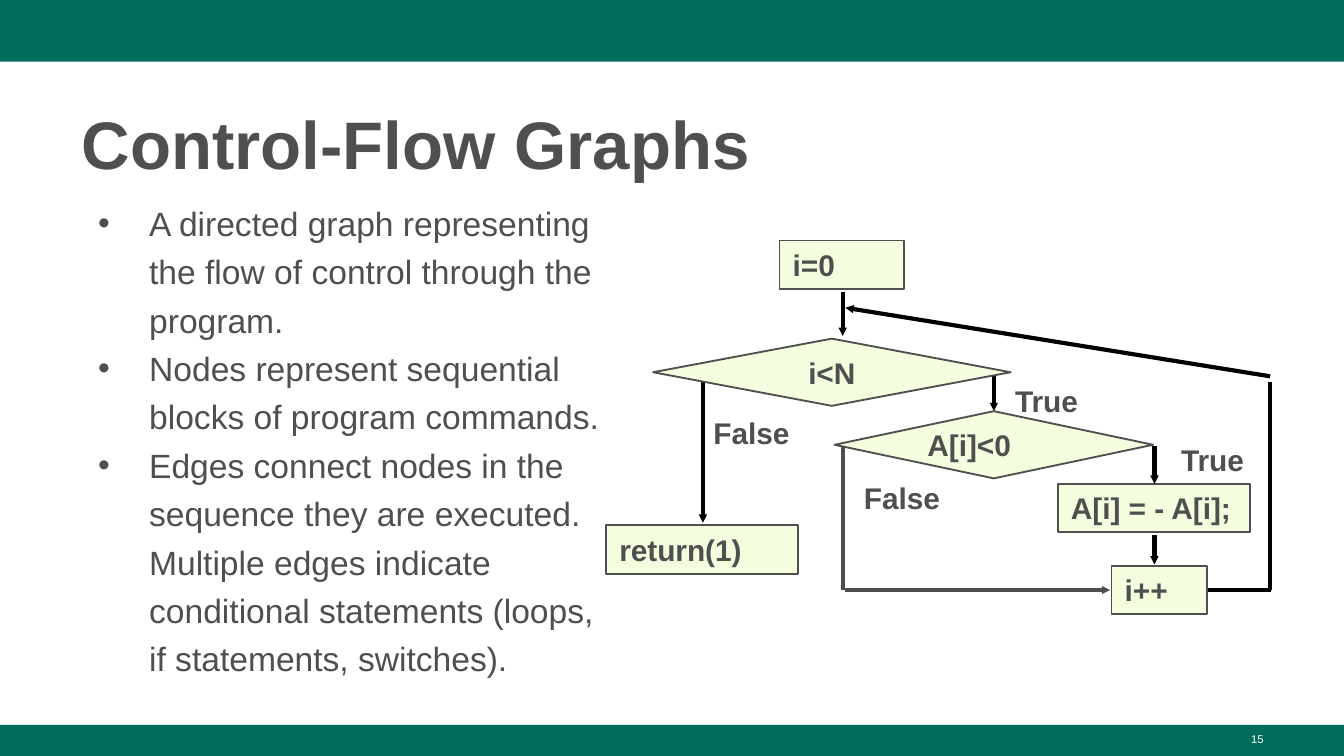
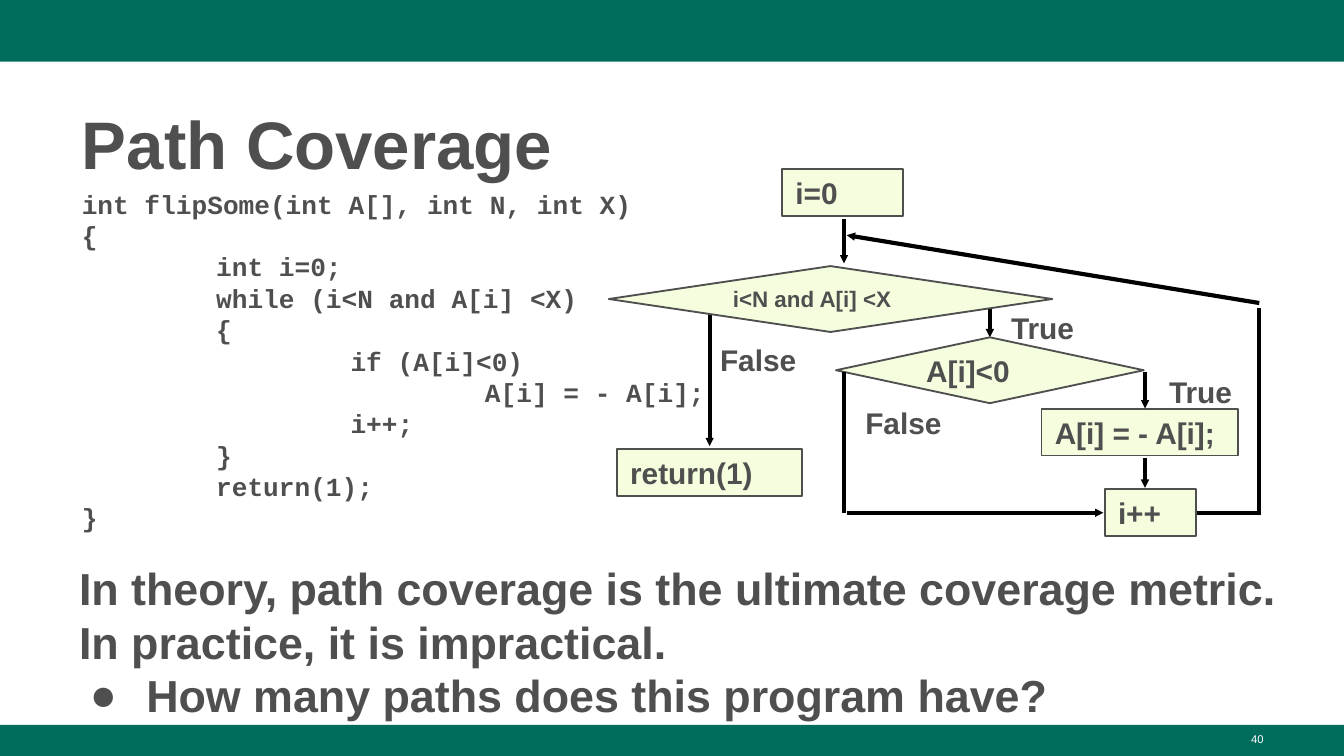
from lxml import etree
from pptx import Presentation
from pptx.dml.color import RGBColor
from pptx.enum.shapes import MSO_CONNECTOR as Connector, MSO_SHAPE as Shape
from pptx.enum.text import MSO_ANCHOR as Anchor, MSO_AUTO_SIZE as AutoSize, PP_ALIGN as Align
from pptx.oxml.ns import qn
from pptx.util import Inches, Pt

GREEN, GREY, PALE, BLACK, WHITE = "006C5C", "4F4F4F", "F4FEDE", "000000", "FFFFFF"
SANS, MONO = "Arial", "Courier New"
WIDTH = 10
HEIGHT = WIDTH * 9 / 16
TITLE_AREA = (0.51, 0.67, 8.99, 0.73)
GAP = 0.02

CODE = """int flipSome(int A[], int N, int X)
{
\tint i=0;
\twhile (i<N and A[i] <X)
\t{
\t\tif (A[i]<0)
\t\t\tA[i] = - A[i];
\t\ti++;
\t}
\treturn(1);
}"""


def color(value):
    """Turn a hex string into a colour."""
    return RGBColor.from_string(value)


def inches(*values):
    """Convert several numbers to lengths."""
    return [Inches(value) for value in values]


def add_bullet(para, char, left, hanging):
    """Give a paragraph a grey bullet and a hanging indent."""
    props = para._p.get_or_add_pPr()
    props.set("marL", str(Inches(left)))
    props.set("indent", str(-Inches(hanging)))
    tint = etree.SubElement(props, qn("a:buClr"))
    etree.SubElement(tint, qn("a:srgbClr"), val=GREY)
    etree.SubElement(props, qn("a:buFont"), typeface=SANS)
    etree.SubElement(props, qn("a:buChar"), char=char)


def add_tabs(para, count):
    """Give a paragraph tab stops one inch apart."""
    stops = etree.SubElement(para._p.get_or_add_pPr(), qn("a:tabLst"))
    for position in range(1, count + 1):
        etree.SubElement(stops, qn("a:tab"), pos=str(Inches(position)), algn="l")


def write(frame, text, size=16, bold=True, tint=GREY, font=SANS,
          align=Align.LEFT, spacing=1.0, bullet=None):
    """Append one formatted paragraph to a text frame."""
    para = frame.add_paragraph() if frame.text else frame.paragraphs[0]
    if bullet:
        add_bullet(para, *bullet)
    if "\t" in text:
        add_tabs(para, text.count("\t"))
    para.alignment = align
    para.line_spacing = spacing
    para.space_before = Pt(0)
    span = para.add_run()
    span.text = text
    span.font.name, span.font.size, span.font.bold = font, Pt(size), bold
    span.font.color.rgb = color(tint)


def set_frame(box, anchor=Anchor.TOP, pad=0.05):
    """Set wrapping, insets and anchoring, and return the text frame."""
    frame = box.text_frame
    frame.word_wrap = True
    frame.auto_size = AutoSize.NONE
    frame.vertical_anchor = anchor
    frame.margin_left = frame.margin_right = Inches(0.1)
    frame.margin_top = frame.margin_bottom = Inches(pad)
    return frame


def add_text(page, area, lines, pad=0.05, **style):
    """Add a text box with one paragraph per line."""
    frame = set_frame(page.shapes.add_textbox(*inches(*area)), pad=pad)
    for line in lines:
        write(frame, line, **style)
    return frame


def fill_placeholder(holder, area, lines, anchor=Anchor.TOP, **style):
    """Move a placeholder and write its paragraphs."""
    holder.left, holder.top, holder.width, holder.height = inches(*area)
    frame = set_frame(holder, anchor)
    for line in lines:
        write(frame, line, **style)


def add_block(page, kind, area, fill, line=None):
    """Add a flat preset shape."""
    block = page.shapes.add_shape(kind, *inches(*area))
    block.shadow.inherit = False
    block.fill.solid()
    block.fill.fore_color.rgb = color(fill)
    if line:
        block.line.color.rgb = color(line)
        block.line.width = Pt(1)
    else:
        block.line.fill.background()
    return block


def add_node(page, kind, area, text, **style):
    """Add a labelled node of the flow graph."""
    block = add_block(page, kind, area, PALE, GREY)
    write(set_frame(block, Anchor.MIDDLE), text, **style)


def add_edge(page, start, end, arrow=True, tint=BLACK):
    """Add a straight edge, with an arrowhead at its end if wanted."""
    edge = page.shapes.add_connector(Connector.STRAIGHT, *inches(*start, *end))
    edge.line.color.rgb = color(tint)
    edge.line.width = Pt(2.25)
    if arrow:
        outline = edge._element.spPr.find(qn("a:ln"))
        etree.SubElement(outline, qn("a:tailEnd"), type="triangle", w="sm", len="sm")
    etree.SubElement(edge._element.spPr, qn("a:effectLst"))


def right(area):
    """Return the right side of an area."""
    return area[0] + area[2]


def bottom(area):
    """Return the lower side of an area."""
    return area[1] + area[3]


def middle(area):
    """Return the vertical centre of an area."""
    return area[1] + area[3] / 2


def draw_flow(page, start, loop, test, negate, done, step, condition, loop_style,
              entry_x, exit_x, back_x, true_at, skip_tint=BLACK):
    """Draw the control-flow graph, with edges placed from the node areas."""
    test_x, negate_x = test[0] + test[2] / 2, right(test) + 0.01
    loop_y, skip_y, step_y = middle(loop), middle(test) + 0.01, middle(step)

    add_edge(page, (test_x, loop_y), (test_x, test[1]))
    add_edge(page, (exit_x, loop_y), (exit_x, done[1] - GAP))

    add_node(page, Shape.DIAMOND, loop, condition, **loop_style)
    add_node(page, Shape.DIAMOND, test, "A[i]<0")
    for area, text in ((start, "i=0"), (negate, "A[i] = - A[i];"),
                       (done, "return(1)"), (step, "i++")):
        add_node(page, Shape.RECTANGLE, area, text)

    add_edge(page, (entry_x, bottom(start) + GAP), (entry_x, loop[1] - GAP))
    add_edge(page, (negate_x, skip_y), (negate_x, negate[1]))
    add_edge(page, (negate_x, bottom(negate) + GAP), (negate_x, step[1] - 0.01))
    add_edge(page, (right(step) + 0.01, step_y), (back_x + 0.01, step_y), arrow=False)
    add_edge(page, (back_x, step_y), (back_x, loop_y + 0.07), arrow=False)
    add_edge(page, (back_x, loop_y + 0.03), (entry_x + GAP, bottom(start) + 0.14))
    add_edge(page, (entry_x, skip_y), (entry_x, step_y), arrow=False, tint=skip_tint)
    add_edge(page, (entry_x + GAP, step_y), (step[0] - 0.01, step_y), tint=skip_tint)

    for text, x, y in (("True", test_x + 0.06, loop_y + 0.03),
                       ("False", exit_x - 0.02, loop_y + 0.27),
                       ("True", *true_at),
                       ("False", entry_x + 0.06, skip_y + 0.2)):
        add_text(page, (x, y, 0.9, 0.27), [text])


def add_bands(deck, page):
    """Place the green bands on the slide master, which all slides share."""
    for top, height in ((0, 0.46), (HEIGHT - 0.23, 0.23)):
        band = add_block(page, Shape.RECTANGLE, (0, top, WIDTH, height), GREEN)
        deck.slide_master.shapes._spTree.append(band._element)


def add_page(deck, layout, title, number):
    """Add a slide with its title and page number."""
    page = deck.slides.add_slide(deck.slide_layouts[layout])
    fill_placeholder(page.shapes.title, TITLE_AREA, [title], Anchor.MIDDLE,
                     size=36, spacing=1.08)
    add_text(page, (7.17, 5.4, 2.33, 0.22), [str(number)], size=6, bold=False,
             tint=WHITE, align=Align.RIGHT)
    return page


def build_graphs(deck):
    """Build the slide that introduces control-flow graphs."""
    page = add_page(deck, 1, "Control-Flow Graphs", 15)
    fill_placeholder(page.placeholders[1], (0.51, 1.4, 4.08, 3.81), [
        "A directed graph representing the flow of control through the program.",
        "Nodes represent sequential blocks of program commands.",
        "Edges connect nodes in the sequence they are executed. Multiple edges "
        "indicate conditional statements (loops, if statements, switches).",
    ], size=18, bold=False, spacing=1.2, bullet=("•", 0.5, 0.38))
    draw_flow(page, start=(5.8, 1.79, 0.93, 0.36), loop=(4.86, 2.52, 2.66, 0.5),
              test=(6.21, 3.06, 2.37, 0.5), negate=(7.87, 3.6, 1.43, 0.36),
              done=(4.51, 3.91, 1.43, 0.36), step=(8.27, 4.21, 0.71, 0.36),
              condition="i<N", loop_style={"align": Align.CENTER},
              entry_x=6.27, exit_x=5.23, back_x=9.45, true_at=(8.69, 3.24),
              skip_tint=GREY)
    return page


def build_coverage(deck):
    """Build the slide on path coverage."""
    page = add_page(deck, 5, "Path Coverage", 40)
    add_text(page, (0.51, 1.35, 5.02, 2.35), CODE.split("\n"), size=14, font=MONO)
    draw_flow(page, start=(5.82, 1.26, 0.9, 0.35), loop=(4.53, 1.98, 3.3, 0.49),
              test=(6.22, 2.51, 2.29, 0.49), negate=(7.75, 3.04, 1.46, 0.35),
              done=(4.59, 3.34, 1.38, 0.35), step=(8.22, 3.64, 0.68, 0.35),
              condition="i<N and A[i] <X", loop_style={"size": 12},
              entry_x=6.28, exit_x=5.28, back_x=9.37, true_at=(8.6, 2.73))
    frame = add_text(page, (0.49, 4.07, 9.47, 1.15), [
        "In theory, path coverage is the ultimate coverage metric.",
        "In practice, it is impractical.",
    ], pad=0.1, size=24)
    write(frame, "How many paths does this program have?", size=24,
          bullet=("●", 0.5, 0.42))


def main():
    """Build and save the deck."""
    deck = Presentation()
    deck.slide_width, deck.slide_height = inches(WIDTH, HEIGHT)
    add_bands(deck, build_graphs(deck))
    build_coverage(deck)
    deck.save("out.pptx")


if __name__ == "__main__":
    main()
